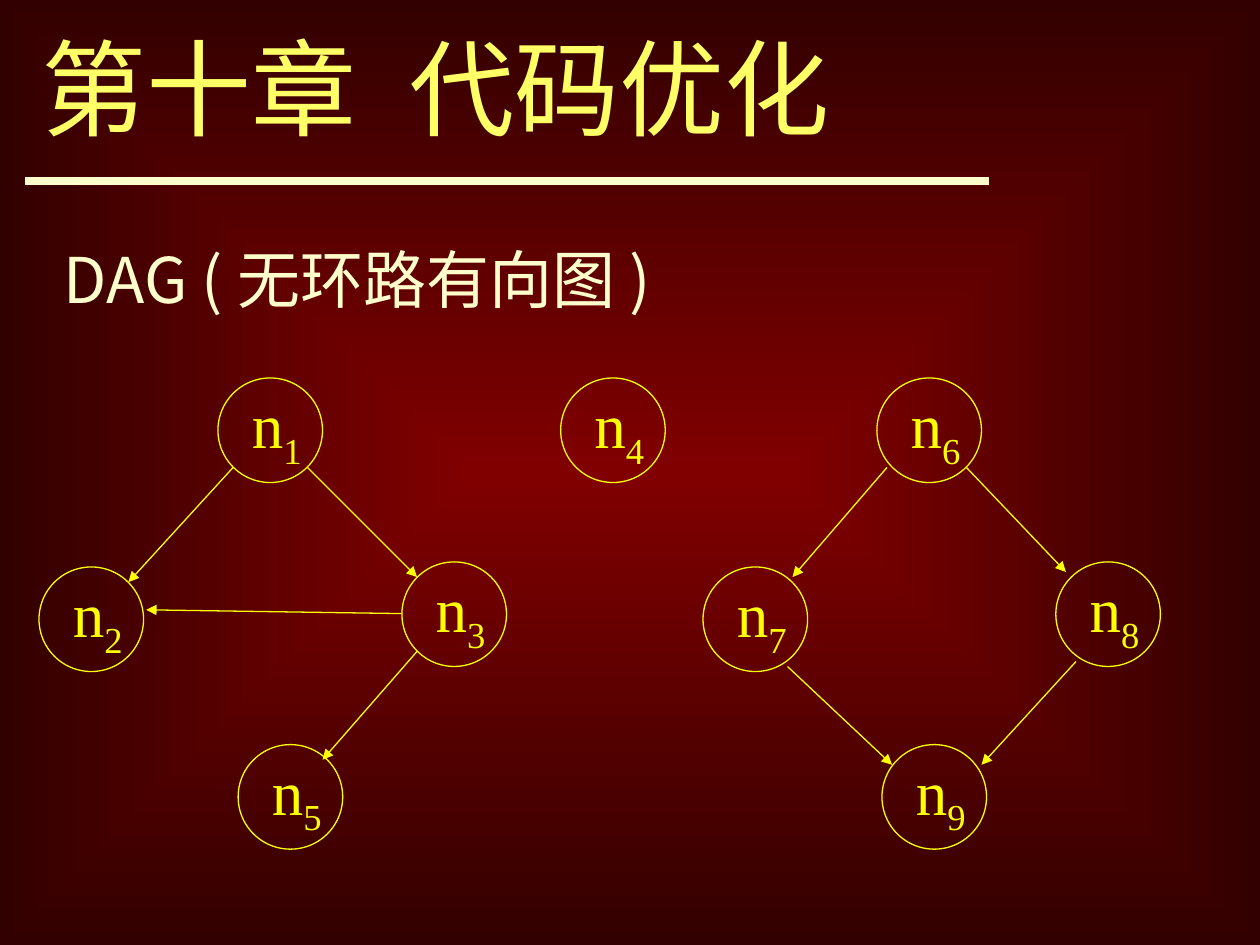
"""Build a slide that shows a DAG of nine nodes under a chapter title."""
import pptx
import pptx.util
import pptx.dml.color
import pptx.enum.shapes
import pptx.enum.text
import pptx.oxml.ns
import lxml.etree

Inches = pptx.util.Inches
Pt = pptx.util.Pt
qn = pptx.oxml.ns.qn
color = pptx.dml.color.RGBColor.from_string


def write(box, words, wrap, shade, style):
    frame = box.text_frame
    for key, value in {
        "word_wrap": wrap,
        "auto_size": pptx.enum.text.MSO_AUTO_SIZE.SHAPE_TO_FIT_TEXT,
        "vertical_anchor": pptx.enum.text.MSO_ANCHOR.TOP,
    }.items():
        setattr(frame, key, value)
    para = frame.paragraphs[0]
    para.alignment = pptx.enum.text.PP_ALIGN.LEFT
    for word in words:
        run = para.add_run()
        run.text = word
        for key, value in style.items():
            setattr(run.font, key, value)
        run.font.color.rgb = color(shade)
    return box.element.findall(".//" + qn("a:rPr"))


def draw_line(start, end, shade, width):
    line = slide.shapes.add_connector(
        pptx.enum.shapes.MSO_CONNECTOR.STRAIGHT, *map(Inches, start + end))
    line.line.color.rgb = color(shade)
    line.line.width = Pt(width)
    props = line.element.spPr
    lxml.etree.SubElement(props, qn("a:effectLst"))
    return props.find(qn("a:ln"))


deck = pptx.Presentation()
deck.slide_width, deck.slide_height = Inches(10), Inches(7.5)
slide = deck.slides.add_slide(deck.slide_layouts[5])

fill = slide.background.fill
fill.gradient()
for stop, shade in zip(fill.gradient_stops, ["800000", "330000"]):
    stop.color.rgb = color(shade)
grad = slide.element.find(".//" + qn("a:gradFill"))
grad.remove(grad.find(qn("a:lin")))
focus = lxml.etree.SubElement(grad, qn("a:path"), path="rect")
lxml.etree.SubElement(focus, qn("a:fillToRect"),
                      dict.fromkeys("ltrb", "50000"))

title = slide.shapes.title
for key, value in {"left": 0.23, "top": 0.14,
                   "width": 7.36, "height": 1.1}.items():
    setattr(title, key, Inches(value))
parts = write(title, ["第十章", " ", "代码优化"], True, "FFFF66",
              {"name": "Arial", "size": Pt(60)})
parts[1].set("spc", "1700")
draw_line((0.2, 1.44), (7.85, 1.44), "FFFFCC", 4.5)

topic = slide.shapes.add_textbox(*map(Inches, (0.41, 1.86, 5.16, 0.7)))
write(topic, ["DAG ( 无环路有向图 )"], False, "FFFFCC",
      {"name": "Noto Sans CJK SC", "size": Pt(36)})

nodes = {
    "1": (1.73, 3), "4": (4.45, 3), "6": (6.96, 3),
    "2": (0.31, 4.5), "3": (3.19, 4.46),
    "7": (5.58, 4.5), "8": (8.38, 4.46),
    "5": (1.89, 5.91), "9": (7, 5.91),
}
for digit, (left, top) in nodes.items():
    group = slide.shapes.add_group_shape()
    ring = group.shapes.add_shape(
        pptx.enum.shapes.MSO_SHAPE.OVAL,
        *map(Inches, (left, top, 0.83, 0.83)))
    ring.shadow.inherit = False
    ring.fill.background()
    ring.line.color.rgb = color("FFFF00")
    ring.line.width = Pt(0.75)
    label = group.shapes.add_textbox(
        *map(Inches, (left + 0.17, top + 0.01, 0.64, 0.79)))
    parts = write(label, ["n", digit], False, "FFFF00",
                  {"name": "Times New Roman", "size": Pt(36)})
    parts[1].set("baseline", "-25000")

edges = [
    ((1.85, 3.71), (1.02, 4.62)),
    ((2.44, 3.71), (3.31, 4.58)),
    ((3.19, 4.87), (1.16, 4.84)),
    ((3.31, 5.17), (2.56, 6.03)),
    ((7.04, 3.71), (6.29, 4.58)),
    ((7.67, 3.71), (8.46, 4.54)),
    ((6.25, 5.29), (7.08, 6.07)),
    ((8.54, 5.25), (7.79, 6.07)),
]
for start, end in edges:
    stroke = draw_line(start, end, "FFFF00", 0.75)
    lxml.etree.SubElement(stroke, qn("a:tailEnd"), type="triangle")

deck.save("out.pptx")
